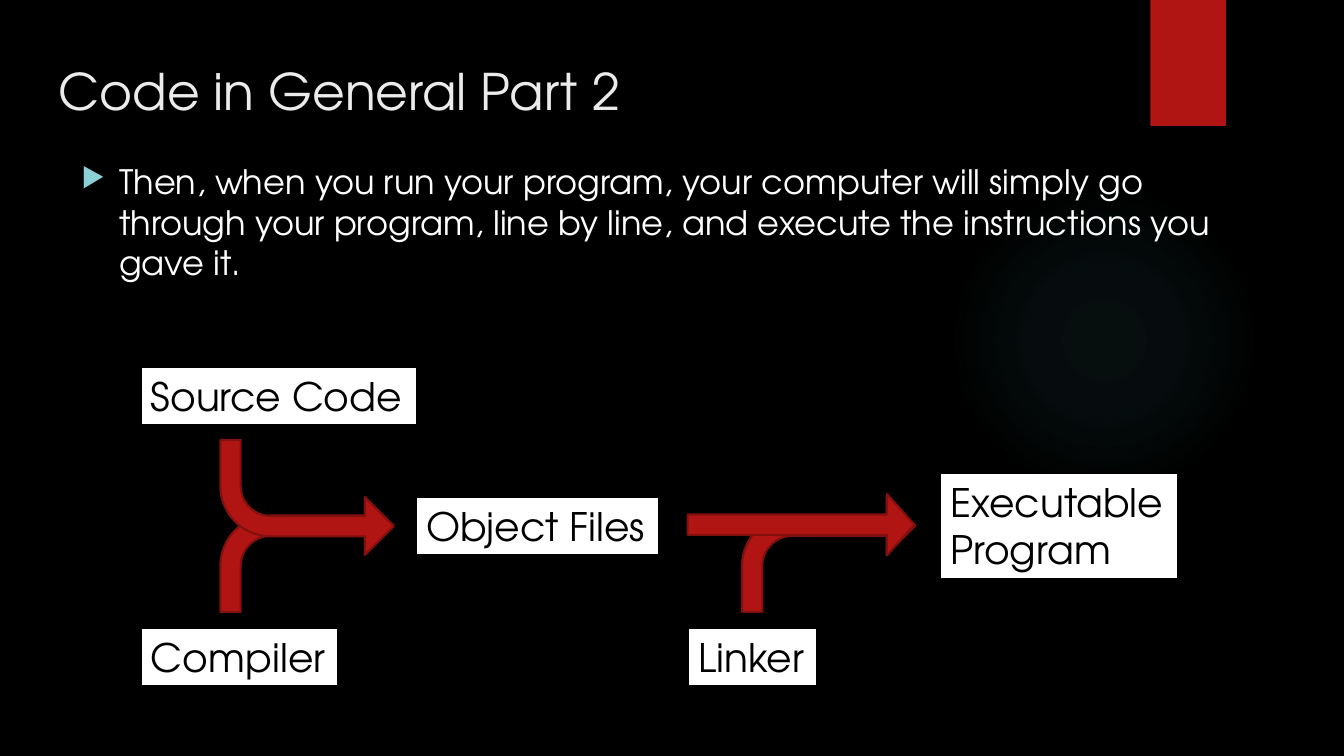
from dataclasses import dataclass

from lxml import etree
from pptx import Presentation
from pptx.dml.color import RGBColor
from pptx.enum.shapes import MSO_SHAPE
from pptx.enum.text import MSO_ANCHOR, MSO_AUTO_SIZE, PP_ALIGN
from pptx.oxml import parse_xml
from pptx.oxml.ns import qn
from pptx.util import Pt

RECT, OVAL = MSO_SHAPE.RECTANGLE, MSO_SHAPE.OVAL
BENT, UP = MSO_SHAPE.BENT_ARROW, MSO_SHAPE.UP_ARROW
LEFT, TOP, MIDDLE = PP_ALIGN.LEFT, MSO_ANCHOR.TOP, MSO_ANCHOR.MIDDLE
FIT_SHAPE, NO_FIT = MSO_AUTO_SIZE.SHAPE_TO_FIT_TEXT, MSO_AUTO_SIZE.NONE

BLACK = RGBColor(0x00, 0x00, 0x00)
WHITE = RGBColor(0xFF, 0xFF, 0xFF)
PALE = RGBColor(0xEB, 0xEB, 0xEB)
RED = RGBColor(0xB0, 0x15, 0x13)
DARK_RED = RGBColor(0x82, 0x10, 0x0E)
TEAL = RGBColor(0x50, 0xB9, 0xC1)
BULLET = RGBColor(0x8A, 0xD0, 0xD6)
FONT = "TeX Gyre Adventor"
A_NS = "http://schemas.openxmlformats.org/drawingml/2006/main"


@dataclass
class Label:
    text: str
    left: float
    top: float
    width: float
    height: float = 40.8


@dataclass
class Arrow:
    kind: int
    left: float
    top: float
    width: float
    height: float
    adjustments: tuple
    rotation: float = 0
    flipped: bool = False


STAGES = [
    Label("Source Code", 100.8, 262.2, 196.6),
    Label("Compiler", 100.8, 448.6, 140.2),
    Label("Linker", 491.8, 448.6, 91.4),
    Label("Executable\nProgram", 671.8, 338.4, 169.2, 74.9),
    Label("Object Files", 297.4, 355, 172.8),
]
BEND = (0.177, 0.25, 0.25, 0.438)
ARROWS = [
    Arrow(BENT, 157.4, 355, 123.8, 82.1, BEND),
    Arrow(BENT, 157.4, 314.3, 123.8, 82.1, BEND, flipped=True),
    Arrow(BENT, 530, 355, 123.8, 82.1, BEND),
    Arrow(UP, 550.2, 293.8, 44, 162, (0.331, 0.449), rotation=90),
]


def write(tf, text: str, size: float, color: RGBColor, **frame) -> None:
    """Fill a text frame, one paragraph per line of text."""
    for name, value in frame.items():
        setattr(tf, name, value)
    tf.text = text
    for p in tf.paragraphs:
        p.alignment = LEFT
        font = {"name": FONT, "size": Pt(size)}
        for r in p.runs:
            for name, value in font.items():
                setattr(r.font, name, value)
            r.font.color.rgb = color


def add_shape(slide, kind: int, bounds: tuple, fill: RGBColor,
              line: RGBColor | None = None, line_width: float = 0):
    sp = slide.shapes.add_shape(kind, *map(Pt, bounds))
    sp.shadow.inherit = False
    sp.fill.solid()
    sp.fill.fore_color.rgb = fill
    if line is None:
        sp.line.fill.background()
    else:
        sp.line.color.rgb = line
        sp.line.width = Pt(line_width)
    return sp


def add_glow(slide, bounds: tuple) -> None:
    """Draw a round glow that fades towards its edge."""
    sp = add_shape(slide, OVAL, bounds, TEAL)
    stops = "".join(
        f'<a:gs pos="{pos * 1000}"><a:srgbClr val="{TEAL}">'
        f'<a:alpha val="{alpha * 1000}"/></a:srgbClr></a:gs>'
        for pos, alpha in ((0, 7), (36, 6), (69, 0), (100, 0)))
    gradient = parse_xml(
        f'<a:gradFill xmlns:a="{A_NS}"><a:gsLst>{stops}</a:gsLst>'
        '<a:path path="circle"><a:fillToRect l="50000" t="50000" '
        'r="50000" b="50000"/></a:path></a:gradFill>')
    props = sp.fill._xPr
    props.replace(props.find(qn("a:solidFill")), gradient)


def add_label(slide, label: Label) -> None:
    bounds = (label.left, label.top, label.width, label.height)
    sp = add_shape(slide, RECT, bounds, WHITE, BLACK, 0.75)
    write(sp.text_frame, label.text, 28, BLACK, word_wrap=False,
          auto_size=FIT_SHAPE, vertical_anchor=TOP)


def add_arrow(slide, arrow: Arrow) -> None:
    bounds = (arrow.left, arrow.top, arrow.width, arrow.height)
    sp = add_shape(slide, arrow.kind, bounds, RED, DARK_RED, 1.5)
    for i, value in enumerate(arrow.adjustments):
        sp.adjustments[i] = value
    sp.rotation = arrow.rotation
    if arrow.flipped:
        sp._element.spPr.find(qn("a:xfrm")).set("flipV", "1")


def add_bullet(p, char: str, indent: float) -> None:
    props = p._p.get_or_add_pPr()
    props.set("marL", str(Pt(indent)))
    props.set("indent", str(-Pt(indent)))
    color = etree.SubElement(props, qn("a:buClr"))
    etree.SubElement(color, qn("a:srgbClr"), val=str(BULLET))
    etree.SubElement(props, qn("a:buSzPct"), val="80000")
    etree.SubElement(props, qn("a:buChar"), char=char)


def main() -> None:
    prs = Presentation()
    prs.slide_width, prs.slide_height = Pt(960), Pt(540)
    slide = prs.slides.add_slide(prs.slide_layouts[5])
    slide.background.fill.solid()
    slide.background.fill.fore_color.rgb = BLACK

    # Backdrop
    add_glow(slide, (677.5, 131.8, 221.8, 221.8))
    add_shape(slide, RECT, (821.7, 0, 54, 90), RED)

    # Title
    title = slide.shapes.title
    place = {"left": 34.6, "top": 38.2, "width": 760.3, "height": 53.3}
    for name, value in place.items():
        setattr(title, name, Pt(value))
    write(title.text_frame, "Code in General Part 2", 36, PALE,
          word_wrap=True, auto_size=NO_FIT, vertical_anchor=MIDDLE)

    # Build steps
    for label in STAGES:
        add_label(slide, label)
    for arrow in ARROWS:
        add_arrow(slide, arrow)

    # Explanation
    body = slide.shapes.add_textbox(*map(Pt, (51.1, 111.6, 829.4, 125.3)))
    write(body.text_frame,
          "Then, when you run your program, your computer will simply go "
          "through your program, line by line, and execute the instructions "
          "you gave it.", 24, WHITE, word_wrap=True, vertical_anchor=TOP)
    p = body.text_frame.paragraphs[0]
    p.space_before = Pt(10)
    add_bullet(p, "▶", 27)

    prs.save("out.pptx")


if __name__ == "__main__":
    main()
